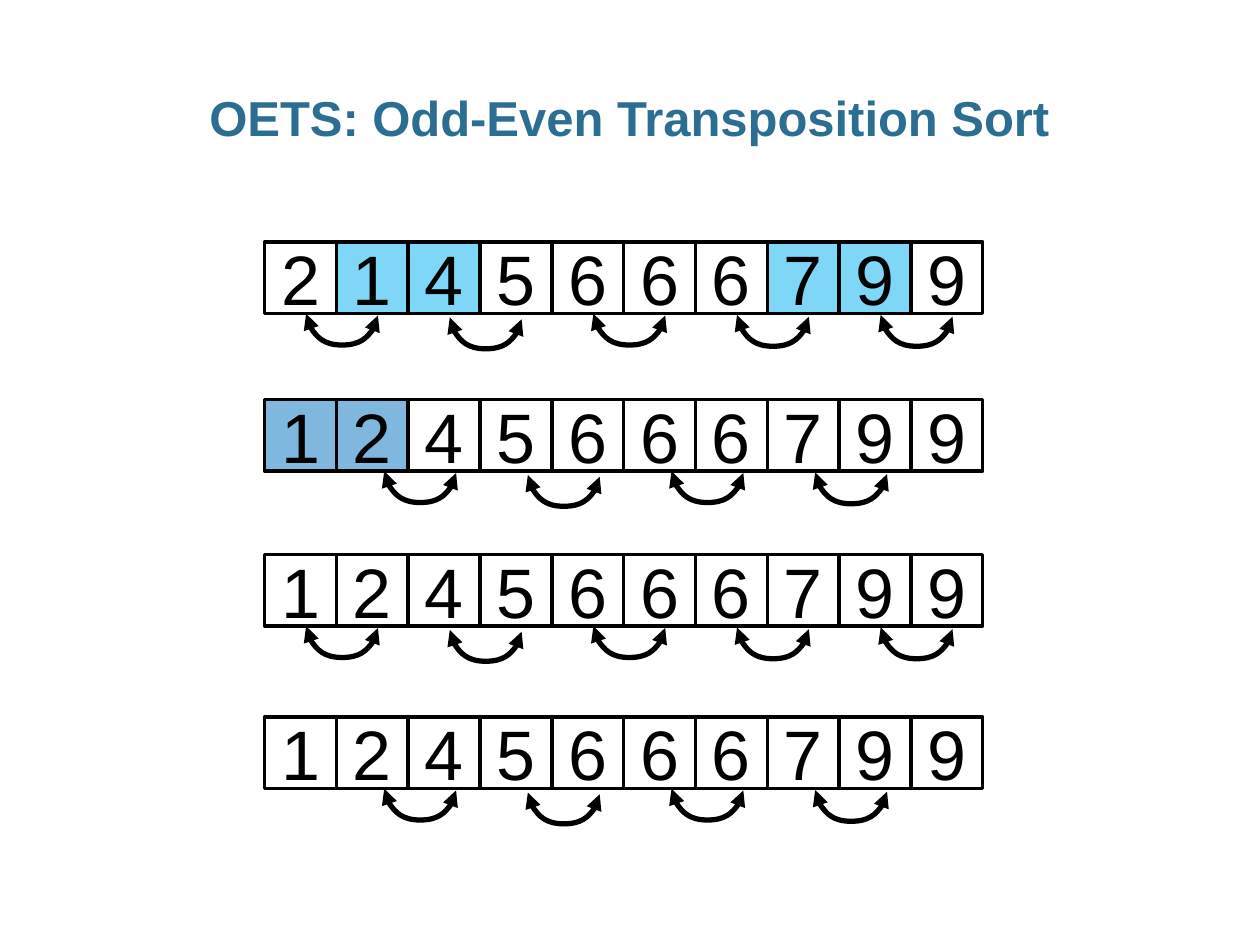
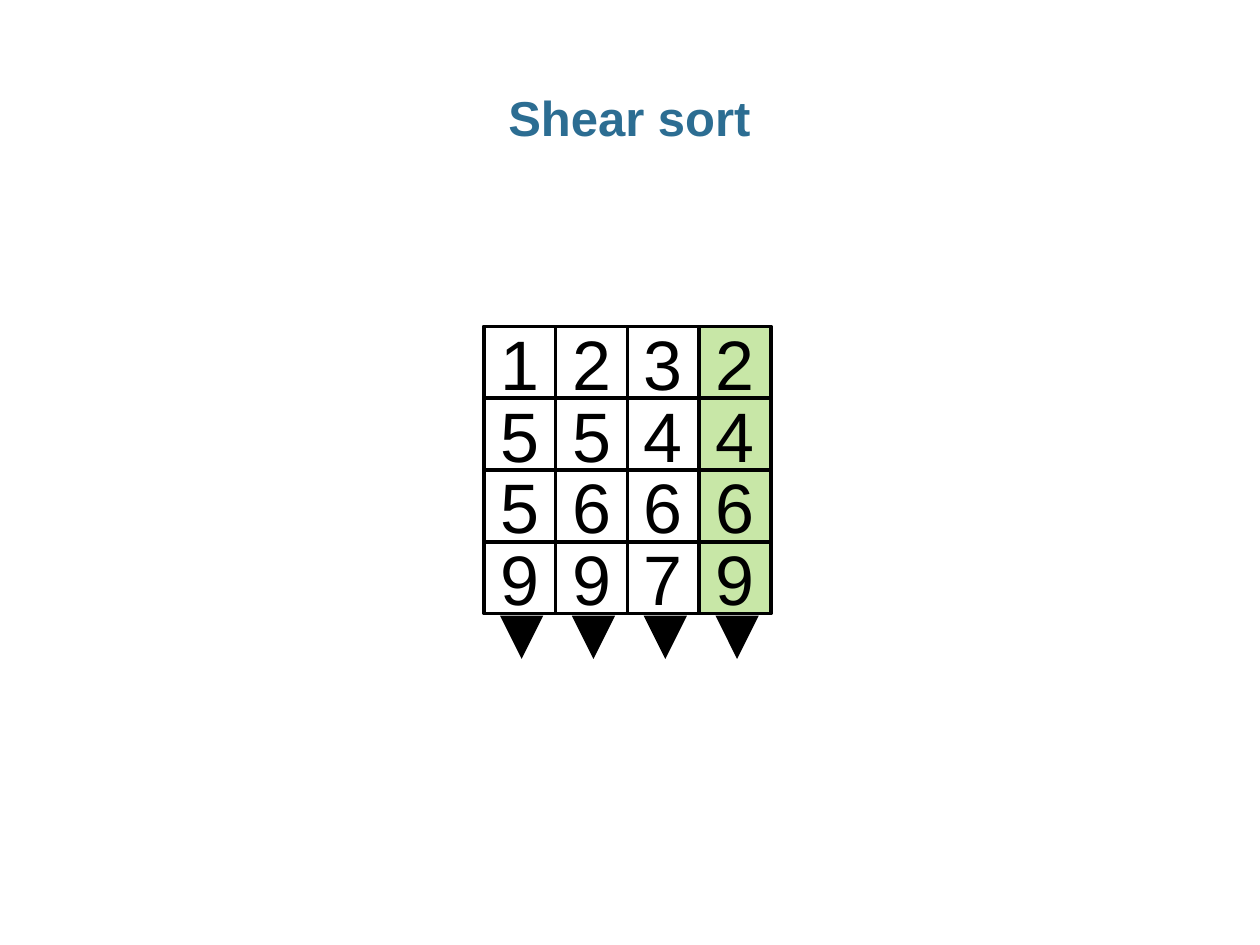
from dataclasses import dataclass

from lxml import etree
from pptx import Presentation
from pptx import util as u
from pptx.dml.color import RGBColor
from pptx.enum import shapes, text
from pptx.oxml import ns


@dataclass(frozen=True)
class Theme:
    font: str = "Arial"
    title: str = "2C6D92"
    ink: str = "000000"
    swapped_first: str = "00B0F0"
    swapped_second: str = "0070C0"
    sorted_column: str = "92D050"
    tint_percent: int = 50
    title_size: int = 28
    digit_size: int = 40
    cell_line: float = 2
    arc_line: float = 3
    arrow_line: float = 8.25


THEME = Theme()

# Content: each step has a top, its digits, the tinted columns and their colour,
# and the first column of the pairs compared below it
SORT_TITLE = "OETS: Odd-Even Transposition Sort"
SORT_STEPS = [
    (1.92, "2145666799", (1, 2, 7, 8), THEME.swapped_first, 0),
    (3.17, "1245666799", (0, 1), THEME.swapped_second, 1),
    (4.40, "1245666799", (), None, 0),
    (5.69, "1245666799", (), None, 1),
]
SHEAR_TITLE = "Shear sort"
SHEAR_ROWS = ["1232", "5544", "5666", "9979"]
SHEAR_TINTED = (3,)

# Grid, in inches
SLIDE_WIDTH, SLIDE_HEIGHT = 10, 7.5
TITLE_BOX = (0.34, 0.68, 9.31, 0.5)
CELL = 0.57
SORT_LEFT = 2.1
SHEAR_LEFT, SHEAR_TOP = 3.84, 2.59
ARC_DEPTH = 0.25
ARC_TILT = CELL / 40
ARC_INSET = {0: 0.33, 1: 0.38}  # by first column of the pairs
ARC_DROPS = (0, 0.03, 0, 0.01, 0.01)
ARROW_INSET, ARROW_GAP, ARROW_LENGTH = 0.3, 0.04, 0.32


def inches(*lengths):
    return [u.Inches(length) for length in lengths]


def add_span(para, words, size, color, bold=False):
    span = para.add_run()
    span.text = words
    span.font.name = THEME.font
    span.font.size = u.Pt(size)
    span.font.bold = bold
    span.font.color.rgb = RGBColor.from_string(color)


def add_page(deck, title):
    page = deck.slides.add_slide(deck.slide_layouts[6])
    box = page.shapes.add_textbox(*inches(*TITLE_BOX))
    frame = box.text_frame
    frame.word_wrap = True
    frame.margin_left = frame.margin_right = 0
    para = frame.paragraphs[0]
    para.alignment = text.PP_ALIGN.CENTER
    para.line_spacing = 0.95
    add_span(para, title, THEME.title_size, THEME.title, bold=True)
    return page


def style_line(shape, width):
    shape.line.color.rgb = RGBColor.from_string(THEME.ink)
    shape.line.width = u.Pt(width)


def add_cell(page, left, top, digit, tint):
    cell = page.shapes.add_shape(
        shapes.MSO_SHAPE.RECTANGLE, *inches(left, top, CELL, CELL))
    cell.shadow.inherit = False
    style_line(cell, THEME.cell_line)
    if tint:
        cell.fill.solid()
        cell.fill.fore_color.rgb = RGBColor.from_string(tint)
        color = cell.element.spPr.find(".//" + ns.qn("a:srgbClr"))
        alpha = etree.SubElement(color, ns.qn("a:alpha"))
        alpha.set("val", str(THEME.tint_percent * 1000))
    else:
        cell.fill.background()
    cell.text_frame.vertical_anchor = text.MSO_ANCHOR.MIDDLE
    para = cell.text_frame.paragraphs[0]
    para.alignment = text.PP_ALIGN.CENTER
    add_span(para, digit, THEME.digit_size, THEME.ink)


def add_row(page, left, top, digits, tinted, tint):
    for column, digit in enumerate(digits):
        add_cell(page, left + column * CELL, top, digit,
                 tint if column in tinted else None)


def add_arrow(page, kind, start, end, width, ends):
    arrow = page.shapes.add_connector(kind, *inches(*start, *end))
    style_line(arrow, width)
    properties = arrow.element.spPr
    outline = properties.find(ns.qn("a:ln"))
    for name in ends:
        etree.SubElement(outline, ns.qn(f"a:{name}")).set("type", "triangle")
    etree.SubElement(properties, ns.qn("a:effectLst"))
    return properties


def add_swap_arc(page, left, top):
    # An upright curve, turned a quarter about its centre to hang below a pair
    x = left + (CELL - ARC_TILT) / 2
    y = top - (CELL - ARC_TILT) / 2
    properties = add_arrow(
        page, shapes.MSO_CONNECTOR.CURVE, (x, y), (x + ARC_TILT, y + CELL),
        THEME.arc_line, ("headEnd", "tailEnd"))
    frame = properties.find(ns.qn("a:xfrm"))
    frame.set("rot", str(270 * 60000))
    frame.set("flipH", "1")
    bend = etree.SubElement(properties.find(".//" + ns.qn("a:avLst")), ns.qn("a:gd"))
    bend.set("name", "adj1")
    bend.set("fmla", f"val {round(ARC_DEPTH / ARC_TILT * 100000)}")


def build_transposition_page(deck):
    page = add_page(deck, SORT_TITLE)
    for top, digits, tinted, tint, first in SORT_STEPS:
        add_row(page, SORT_LEFT, top, digits, tinted, tint)
        pairs = range(first, len(digits) - 1, 2)
        for column, drop in zip(pairs, ARC_DROPS):
            add_swap_arc(page, SORT_LEFT + column * CELL + ARC_INSET[first],
                         top + CELL + drop)


def build_shear_page(deck):
    page = add_page(deck, SHEAR_TITLE)
    for row, digits in enumerate(SHEAR_ROWS):
        add_row(page, SHEAR_LEFT, SHEAR_TOP + row * CELL, digits,
                SHEAR_TINTED, THEME.sorted_column)
    # Downward arrow under each column
    top = SHEAR_TOP + len(SHEAR_ROWS) * CELL + ARROW_GAP
    for column in range(len(SHEAR_ROWS[0])):
        x = SHEAR_LEFT + column * CELL + ARROW_INSET
        add_arrow(page, shapes.MSO_CONNECTOR.STRAIGHT, (x, top),
                  (x, top + ARROW_LENGTH), THEME.arrow_line, ("tailEnd",))


def main():
    deck = Presentation()
    deck.slide_width, deck.slide_height = inches(SLIDE_WIDTH, SLIDE_HEIGHT)
    build_transposition_page(deck)
    build_shear_page(deck)
    deck.save("out.pptx")


if __name__ == "__main__":
    main()
